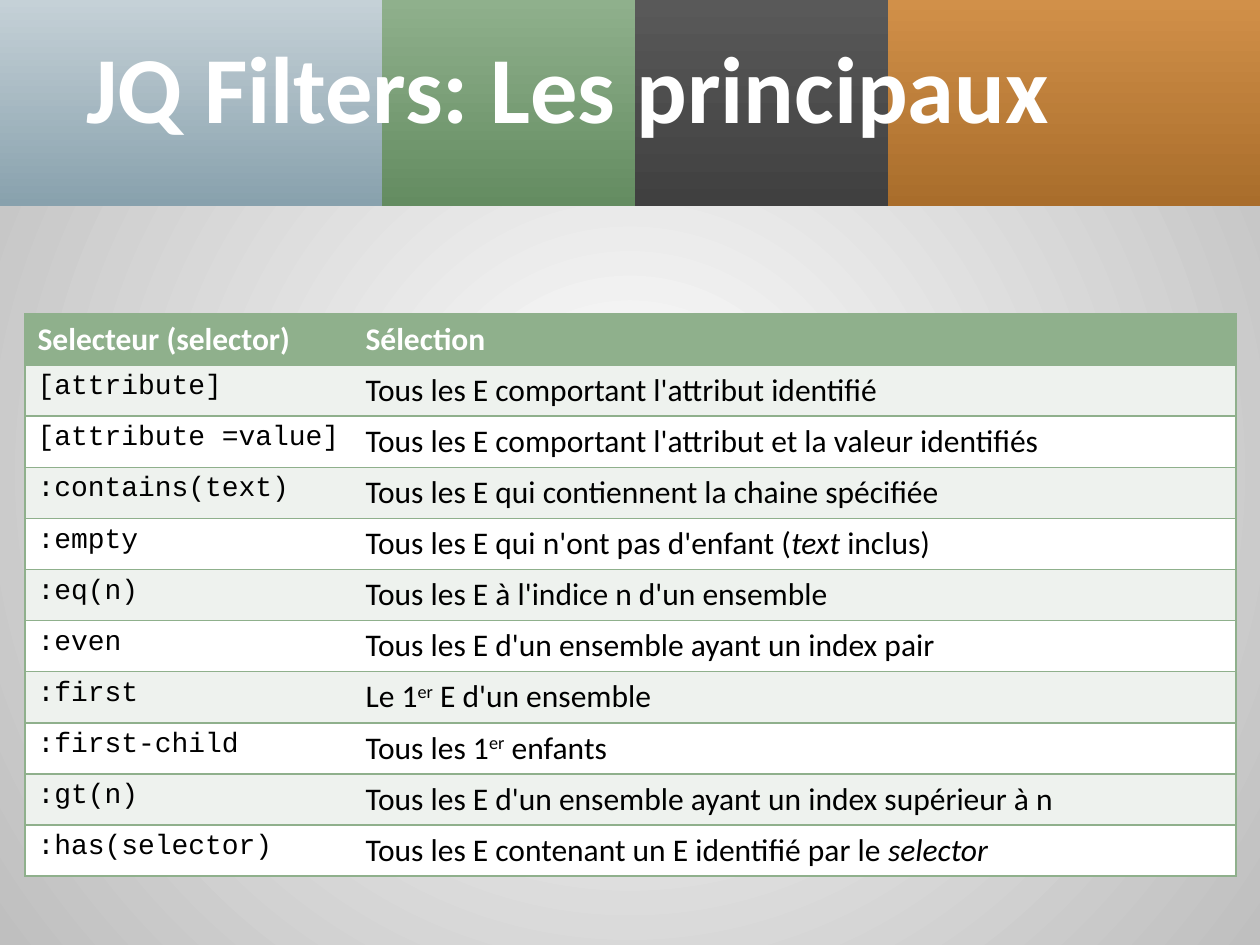
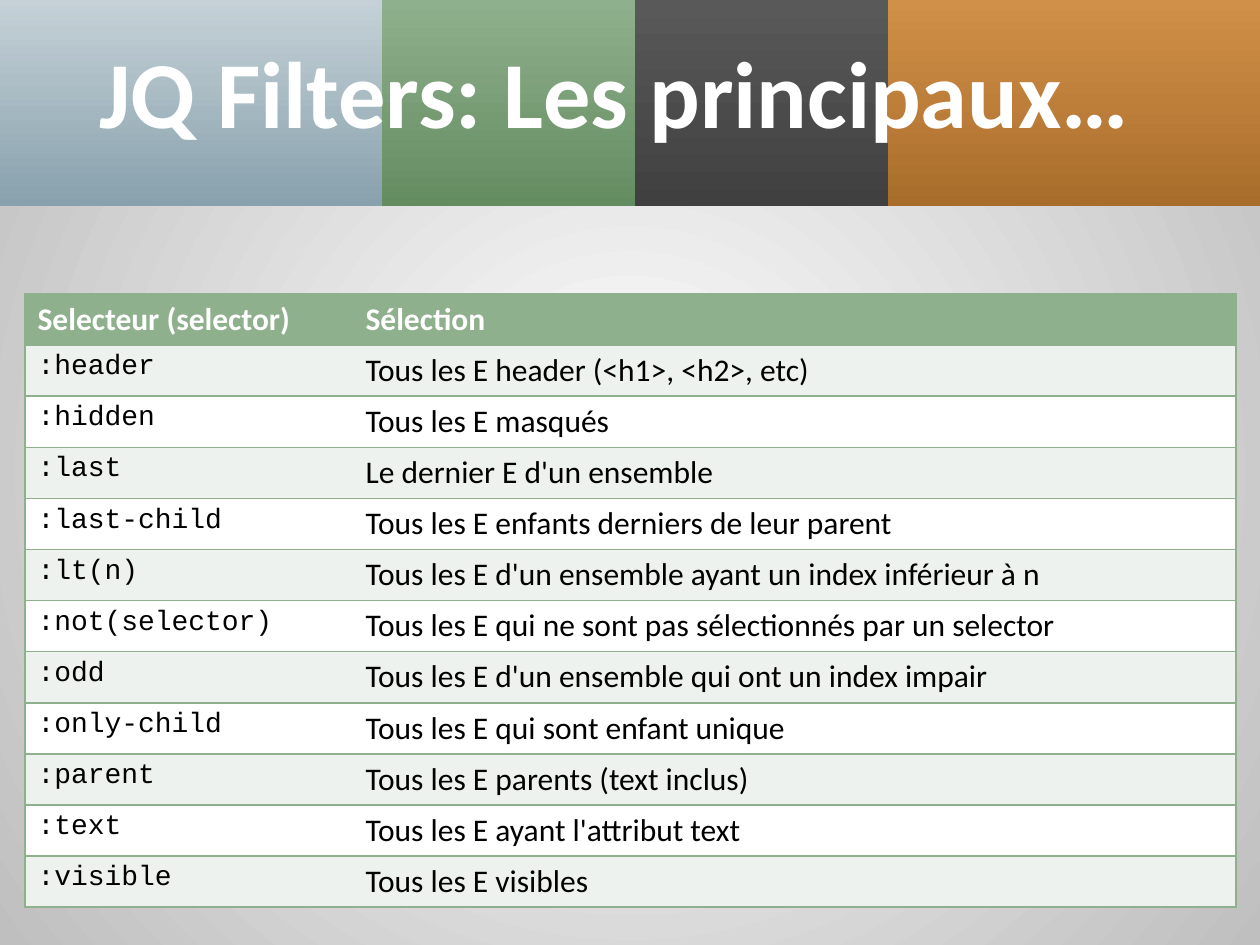
"""Build two slides listing the main JQ filters."""
from dataclasses import dataclass
from typing import NamedTuple

from lxml.etree import SubElement
from pptx import Presentation
from pptx.dml.color import RGBColor
from pptx.dml.fill import FillFormat
from pptx.enum.shapes import MSO_SHAPE
from pptx.enum.text import MSO_ANCHOR, MSO_AUTO_SIZE, PP_ALIGN
from pptx.oxml.ns import qn
from pptx.slide import Slide, SlideLayout, SlideMaster
from pptx.table import _Cell
from pptx.text.text import _Paragraph
from pptx.util import Emu, Pt


@dataclass(frozen=True)
class Theme:
    """Colours, fonts and type sizes of the deck."""
    white: str = "FFFFFF"
    black: str = "000000"
    backdrop_edge: str = "BFBFBF"
    green: str = "8FB08C"
    pale_green: str = "EEF2EE"
    text_font: str = "Calibri"
    code_font: str = "Courier New"
    title_size: int = 54
    text_size: int = 18
    code_size: int = 16
    border_width: int = 1


class Band(NamedTuple):
    """One coloured block of the header."""
    width: int
    top_color: str
    bottom_color: str


class Span(NamedTuple):
    """A stretch of text with its own emphasis."""
    text: str
    italic: bool = False
    superscript: bool = False


class Filter(NamedTuple):
    """A selector and the spans that describe it."""
    selector: str
    selection: tuple[Span, ...]


class FilterPage(NamedTuple):
    """The content and placement of one slide."""
    title: str
    title_left: int
    title_top: int
    table_top: int
    filters: tuple[Filter, ...]


THEME = Theme()
PAGE_WIDTH, PAGE_HEIGHT = 1260, 945
BAND_HEIGHT = 206
TITLE_WIDTH, TITLE_HEIGHT = 1086, 183
TABLE_LEFT, ROW_HEIGHT = 25, 51
COLUMN_WIDTHS = (328, 883)
HEADINGS = ("Selecteur (selector)", "Sélection")

BANDS = (
    Band(382, "C5D1D7", "88A1AD"),
    Band(253, THEME.green, "648C61"),
    Band(253, "595959", "404040"),
    Band(372, "D19049", "A96D2B"),
)


def entry(selector: str, *parts: str | Span) -> Filter:
    """Make a filter from plain strings and emphasised spans."""
    return Filter(selector, tuple(Span(part) if isinstance(part, str) else part for part in parts))


ORDINAL = Span("er", superscript=True)
PAGES = (
    FilterPage("JQ Filters: Les principaux", 74, 1, 314, (
        entry("[attribute]", "Tous les E comportant l'attribut identifié"),
        entry("[attribute =value]", "Tous les E comportant l'attribut et la valeur identifiés"),
        entry(":contains(text)", "Tous les E qui contiennent la chaine spécifiée"),
        entry(":empty", "Tous les E qui n'ont pas d'enfant (", Span("text", italic=True), " inclus)"),
        entry(":eq(n)", "Tous les E à l'indice n d'un ensemble"),
        entry(":even", "Tous les E d'un ensemble ayant un index pair"),
        entry(":first", "Le 1", ORDINAL, " E d'un ensemble"),
        entry(":first-child", "Tous les 1", ORDINAL, " enfants"),
        entry(":gt(n)", "Tous les E d'un ensemble ayant un index supérieur à n"),
        entry(":has(selector)", "Tous les E contenant un E identifié par le ", Span("selector", italic=True)),
    )),
    FilterPage("JQ Filters: Les principaux…", 87, 6, 294, (
        entry(":header", "Tous les E header (<h1>, <h2>, etc)"),
        entry(":hidden", "Tous les E masqués"),
        entry(":last", "Le dernier E d'un ensemble"),
        entry(":last-child", "Tous les E enfants derniers de leur parent"),
        entry(":lt(n)", "Tous les E d'un ensemble ayant un index inférieur à n"),
        entry(":not(selector)", "Tous les E qui ne sont pas sélectionnés par un selector"),
        entry(":odd", "Tous les E d'un ensemble qui ont un index impair"),
        entry(":only-child", "Tous les E qui sont enfant unique"),
        entry(":parent", "Tous les E parents (text inclus)"),
        entry(":text", "Tous les E ayant l'attribut text"),
        entry(":visible", "Tous les E visibles"),
    )),
)


def px(length: int) -> Emu:
    """Turn pixels into EMU at 126 pixels to the inch."""
    return Emu(round(length * 914400 / 126))


def write(para: _Paragraph, text: str, *, font: str = THEME.text_font, size: int = THEME.text_size,
          color: str = THEME.black, bold: bool = False, italic: bool = False,
          superscript: bool = False) -> None:
    """Add a formatted span of text to a paragraph."""
    span = para.add_run()
    span.text = text
    span.font.name = font
    span.font.size = Pt(size)
    span.font.color.rgb = RGBColor.from_string(color)
    span.font.bold = bold
    span.font.italic = italic
    if superscript:
        span._r.get_or_add_rPr().set("baseline", "30000")


def fill_gradient(fill: FillFormat, start: str, end: str) -> None:
    """Fill with a gradient running from top to bottom."""
    fill.gradient()
    fill.gradient_angle = 270
    for stop, color in zip(fill.gradient_stops, (start, end)):
        stop.color.rgb = RGBColor.from_string(color)


def set_backdrop(master: SlideMaster) -> None:
    """Give the master a gradient spreading from the centre."""
    fill_gradient(master.background.fill, THEME.white, THEME.backdrop_edge)
    gradient = master.element.find(".//" + qn("p:bgPr")).find(qn("a:gradFill"))
    gradient.remove(gradient.find(qn("a:lin")))
    circle = SubElement(gradient, qn("a:path"), {"path": "circle"})
    SubElement(circle, qn("a:fillToRect"), dict.fromkeys("ltrb", "50000"))


def add_bands(page: Slide, layout: SlideLayout) -> None:
    """Draw the header bands and move them behind the layout title."""
    for placeholder in list(layout.placeholders):
        if placeholder.placeholder_format.idx:
            layout.placeholders.element.remove(placeholder.element)
    left = 0
    for position, band in enumerate(BANDS, start=2):
        box = page.shapes.add_shape(MSO_SHAPE.RECTANGLE, px(left), 0, px(band.width), px(BAND_HEIGHT))
        box.shadow.inherit = False
        box.line.fill.background()
        fill_gradient(box.fill, band.top_color, band.bottom_color)
        layout.shapes.element.insert(position, box.element)
        left += band.width


def add_title(page: Slide, content: FilterPage) -> None:
    """Place and format the slide title."""
    title = page.shapes.title
    title.left, title.top = px(content.title_left), px(content.title_top)
    title.width, title.height = px(TITLE_WIDTH), px(TITLE_HEIGHT)
    frame = title.text_frame
    frame.auto_size = MSO_AUTO_SIZE.NONE
    frame.word_wrap = True
    frame.vertical_anchor = MSO_ANCHOR.MIDDLE
    para = frame.paragraphs[0]
    para.alignment = PP_ALIGN.LEFT
    para.line_spacing = 0.9
    write(para, content.title, size=THEME.title_size, color=THEME.white, bold=True)


def style_cell(cell: _Cell, color: str, sides: str) -> None:
    """Draw the borders of a cell on the given sides and fill it."""
    properties = cell._tc.get_or_add_tcPr()
    for side in sides:
        border = SubElement(properties, qn(f"a:ln{side}"), {"w": str(Pt(THEME.border_width))})
        solid = SubElement(border, qn("a:solidFill"))
        SubElement(solid, qn("a:srgbClr"), {"val": THEME.green})
    cell.fill.solid()
    cell.fill.fore_color.rgb = RGBColor.from_string(color)


def add_filter_table(page: Slide, content: FilterPage) -> None:
    """Add the table of selectors and their meanings."""
    row_count = len(content.filters) + 1
    frame = page.shapes.add_table(row_count, len(COLUMN_WIDTHS), px(TABLE_LEFT), px(content.table_top),
                                  px(sum(COLUMN_WIDTHS)), px(ROW_HEIGHT * row_count))
    frame.element.find(".//" + qn("a:tableStyleId")).text = "{2D5ABB26-0587-4C30-8999-92F81FD0307C}"
    table = frame.table
    for column, width in zip(table.columns, COLUMN_WIDTHS):
        column.width = px(width)
    for index, row in enumerate(table.rows):
        row.height = px(ROW_HEIGHT)
        color = (THEME.white, THEME.pale_green)[index % 2] if index else THEME.green
        for cell, sides in zip(row.cells, ("LTB", "RTB")):
            style_cell(cell, color, sides)
    for column, heading in enumerate(HEADINGS):
        write(table.cell(0, column).text_frame.paragraphs[0], heading, color=THEME.white, bold=True)
    for index, item in enumerate(content.filters, start=1):
        selector, selection = (cell.text_frame.paragraphs[0] for cell in table.rows[index].cells)
        write(selector, item.selector, font=THEME.code_font, size=THEME.code_size)
        for span in item.selection:
            write(selection, span.text, italic=span.italic, superscript=span.superscript)


def main() -> None:
    """Build and save the deck."""
    deck = Presentation()
    deck.slide_width, deck.slide_height = px(PAGE_WIDTH), px(PAGE_HEIGHT)
    set_backdrop(deck.slide_master)
    layout = deck.slide_layouts.get_by_name("Title Only")
    pages = [deck.slides.add_slide(layout) for _ in PAGES]
    add_bands(pages[0], layout)
    for page, content in zip(pages, PAGES):
        add_title(page, content)
        add_filter_table(page, content)
    deck.save("out.pptx")


if __name__ == "__main__":
    main()
